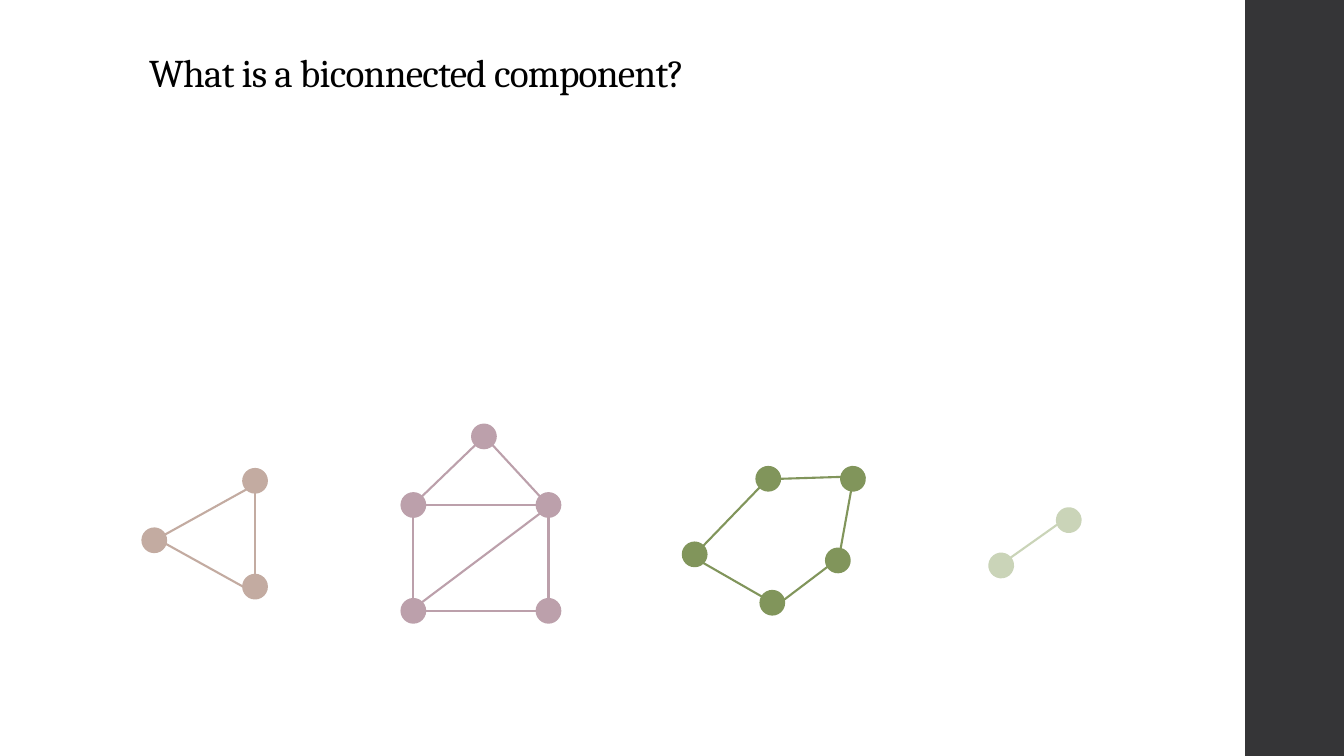
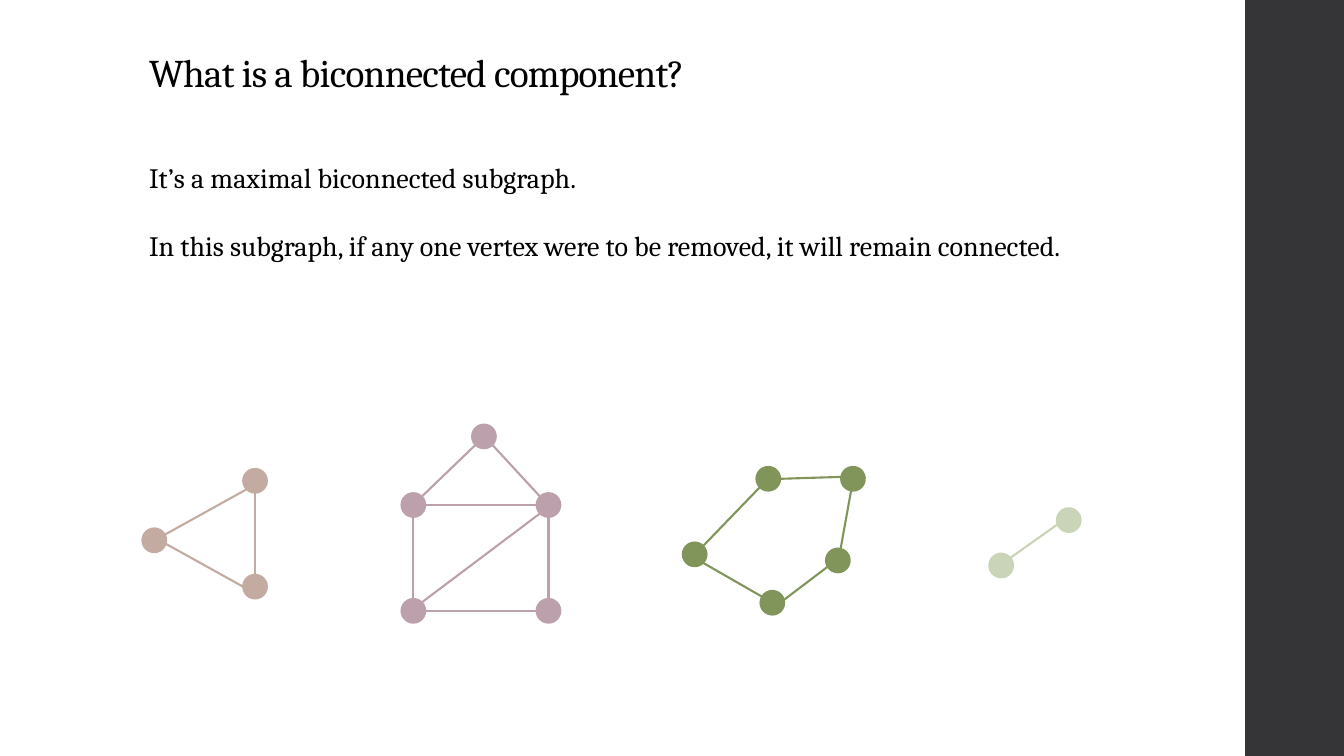
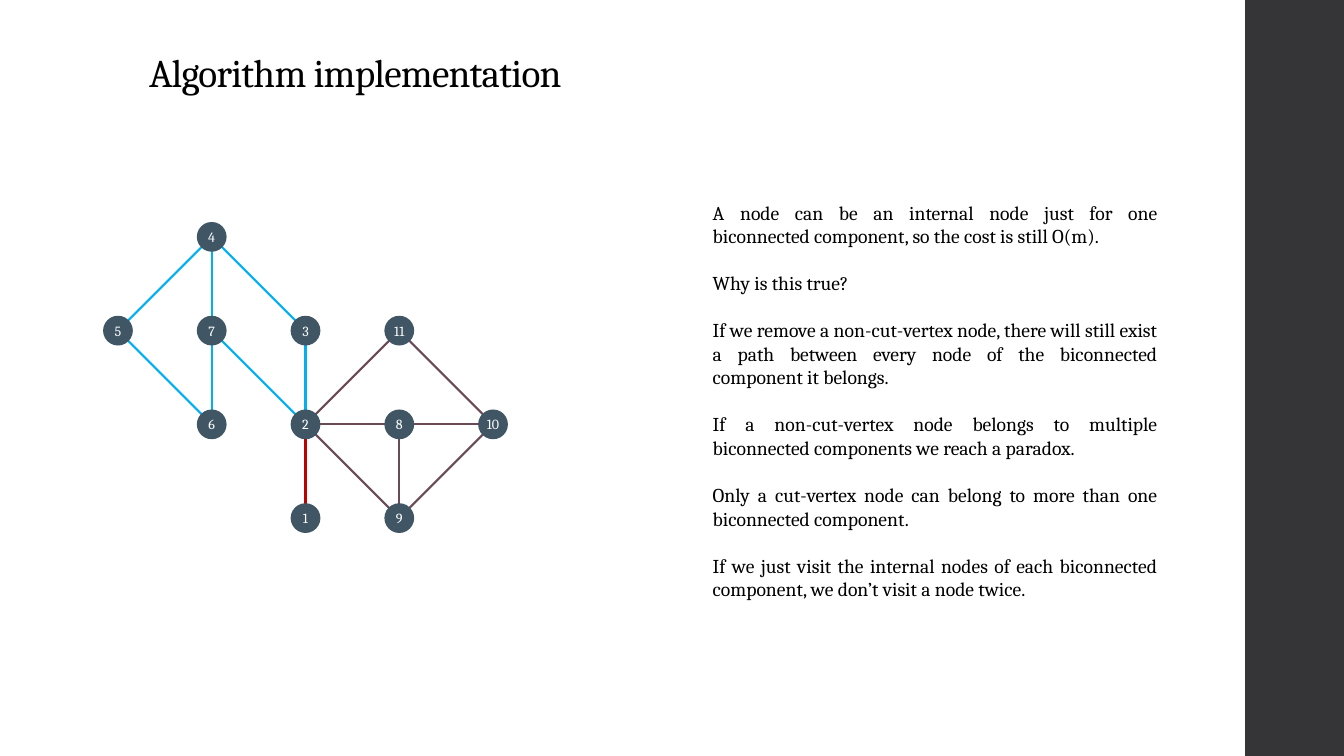
import math
from lxml import etree
from pptx import Presentation, util as u
from pptx.dml.color import RGBColor
from pptx.enum import shapes, text
from pptx.oxml import ns

W, H = 13.33, 7.5
FONT = "Cambria"
BLACK, WHITE, BAND = "000000", "FFFFFF", "353537"
SLATE, BLUE, RED, PLUM = "415665", "00B0F0", "C00000", "6A4A57"
MARGIN = 1.38

QUESTION = "What is a biconnected component?"
DEFINITION = [
    "It’s a maximal biconnected subgraph.",
    "In this subgraph, if any one vertex were to be removed, it will remain connected.",
]
PROOF = [
    "A node can be an internal node just for one biconnected component, so the cost is still O(m).",
    "Why is this true?",
    "If we remove a non-cut-vertex node, there will still exist a path between every node "
    "of the biconnected component it belongs.",
    "If a non-cut-vertex node belongs to multiple biconnected components we reach a paradox.",
    "Only a cut-vertex node can belong to more than one biconnected component.",
    "If we just visit the internal nodes of each biconnected component, we don’t visit a node twice.",
]

# Example components: colour, origin, nodes (x, y, rotation) and
# edges (from, to, optional fixed angle at the first node)
COMPONENTS = [
    ("C3ABA1", (1.53, 4.77),
     [(0, 0.59, 17), (1, 0, 0), (1, 1.05, 0)],
     [(0, 1), (1, 2), (2, 0, 180)]),
    ("BCA0AB", (4.1, 4.33),
     [(0.7, 0, 0), (0, 0.68, 0), (1.34, 0.68, 0), (0, 1.73, 0), (1.34, 1.73, 0)],
     [(0, 1), (0, 2), (1, 2), (1, 3), (2, 3), (2, 4), (3, 4)]),
    ("81955B", (6.89, 4.75),
     [(0, 0.75, 0), (0.73, 0, 0), (1.57, 0, 54), (1.42, 0.81, 13.3), (0.77, 1.23, 30.8)],
     [(0, 1), (1, 2), (2, 3), (3, 4), (4, 0)]),
    ("CAD4B8", (9.93, 5.16),
     [(0, 0.45, 50.3), (0.67, 0, 69.1)],
     [(0, 1)]),
]

# Numbered graph: label -> (column, row), and edges by component colour
GRID = {4: (1, 0), 5: (0, 1), 7: (1, 1), 3: (2, 1), 11: (3, 1), 6: (1, 2),
        2: (2, 2), 8: (3, 2), 10: (4, 2), 1: (2, 3), 9: (3, 3)}
GRID_EDGES = {
    RED: [(1, 2)],
    BLUE: [(2, 3), (2, 7), (3, 4), (4, 5), (4, 7), (5, 6), (6, 7)],
    PLUM: [(2, 8), (2, 9), (2, 11), (8, 9), (8, 10), (9, 10), (10, 11)],
}


def rgb(value):
    return RGBColor.from_string(value)


def add_run(p, content, size, color=BLACK):
    r = p.add_run()
    r.text = content
    r.font.name, r.font.size = FONT, u.Pt(size)
    r.font.color.rgb = rgb(color)
    return r


def add_fill(s, kind, x, y, w, h, color):
    sp = s.shapes.add_shape(kind, *map(u.Inches, (x, y, w, h)))
    sp.shadow.inherit = False
    sp.fill.solid()
    sp.fill.fore_color.rgb = sp.line.color.rgb = rgb(color)
    sp.line.width = u.Pt(1.1)
    return sp


def add_box(s, x, y, w, h):
    tf = s.shapes.add_textbox(*map(u.Inches, (x, y, w, h))).text_frame
    tf.word_wrap = True
    return tf


def base_slide(prs, title):
    s = prs.slides.add_slide(prs.slide_layouts[6])
    # Side band
    band = add_fill(s, shapes.MSO_SHAPE.RECTANGLE, 12.35, 0, W - 12.35, H, BAND)
    band.line.fill.background()
    # Title
    tf = add_box(s, MARGIN, 0.4, 10.6, 0.6)
    tf.vertical_anchor = text.MSO_ANCHOR.BOTTOM
    p = tf.paragraphs[0]
    p.line_spacing = 0.9
    r = add_run(p, title, 28)
    r.font._element.set("spc", "-50")
    return s


def paragraphs(s, box, lines, size, gap, align):
    tf = add_box(s, *box)
    for i, line in enumerate(lines):
        p = tf.paragraphs[0] if i == 0 else tf.add_paragraph()
        p.alignment = align
        if i:
            p.space_before = u.Pt(gap)
        add_run(p, line, size)


def rim_point(node, other, radius, fixed=None):
    """Point of the node's eight connection sites that faces the other node."""
    x, y, rot = node
    angle = fixed
    if angle is None:
        toward = math.degrees(math.atan2(other[1] - y, other[0] - x))
        angle = rot + 45 * round((toward - rot) / 45)
    a = math.radians(angle)
    return u.Inches(x + radius * math.cos(a)), u.Inches(y + radius * math.sin(a))


def add_edge(s, a, b, size, color, fixed=None):
    c = s.shapes.add_connector(shapes.MSO_CONNECTOR.STRAIGHT,
                               *rim_point(a, b, size / 2, fixed), *rim_point(b, a, size / 2))
    c.line.color.rgb, c.line.width = rgb(color), u.Pt(1.5)
    etree.SubElement(c._element.spPr, ns.qn("a:effectLst"))


def add_node(s, node, size, color, label=None):
    x, y, rot = node
    sp = add_fill(s, shapes.MSO_SHAPE.FLOWCHART_CONNECTOR,
                  x - size / 2, y - size / 2, size, size, color)
    sp.rotation = rot
    if label is not None:
        tf = sp.text_frame
        tf.word_wrap = False
        tf.vertical_anchor = text.MSO_ANCHOR.MIDDLE
        p = tf.paragraphs[0]
        p.alignment = text.PP_ALIGN.CENTER
        add_run(p, str(label), 10, WHITE)


def component_row(s, size=0.24):
    for color, (left, top), offsets, edges in COMPONENTS:
        nodes = [(left + x, top + y, rot) for x, y, rot in offsets]
        for a, b, *fixed in edges:
            add_edge(s, nodes[a], nodes[b], size, color, *fixed)
        for node in nodes:
            add_node(s, node, size, color)


def numbered_graph(s, left, top, pitch, size=0.28):
    nodes = {n: (left + pitch * c, top + pitch * r, 0) for n, (c, r) in GRID.items()}
    for color, edges in GRID_EDGES.items():
        for a, b in edges:
            add_edge(s, nodes[a], nodes[b], size, color)
    for label, node in nodes.items():
        add_node(s, node, size, SLATE, label)


def main():
    prs = Presentation()
    prs.slide_width, prs.slide_height = u.Inches(W), u.Inches(H)

    # Question, then question with its answer
    component_row(base_slide(prs, QUESTION))
    s = base_slide(prs, QUESTION)
    component_row(s)
    paragraphs(s, (MARGIN, 1.54, 9.92, 1.44), DEFINITION, 20, 25, text.PP_ALIGN.LEFT)

    # Algorithm
    s = base_slide(prs, "Algorithm implementation")
    numbered_graph(s, 1.17, 2.35, 0.93)
    paragraphs(s, (6.97, 1.94, 4.61, 4.6), PROOF, 14, 16.8, text.PP_ALIGN.JUSTIFY)

    prs.save("out.pptx")


if __name__ == "__main__":
    main()
